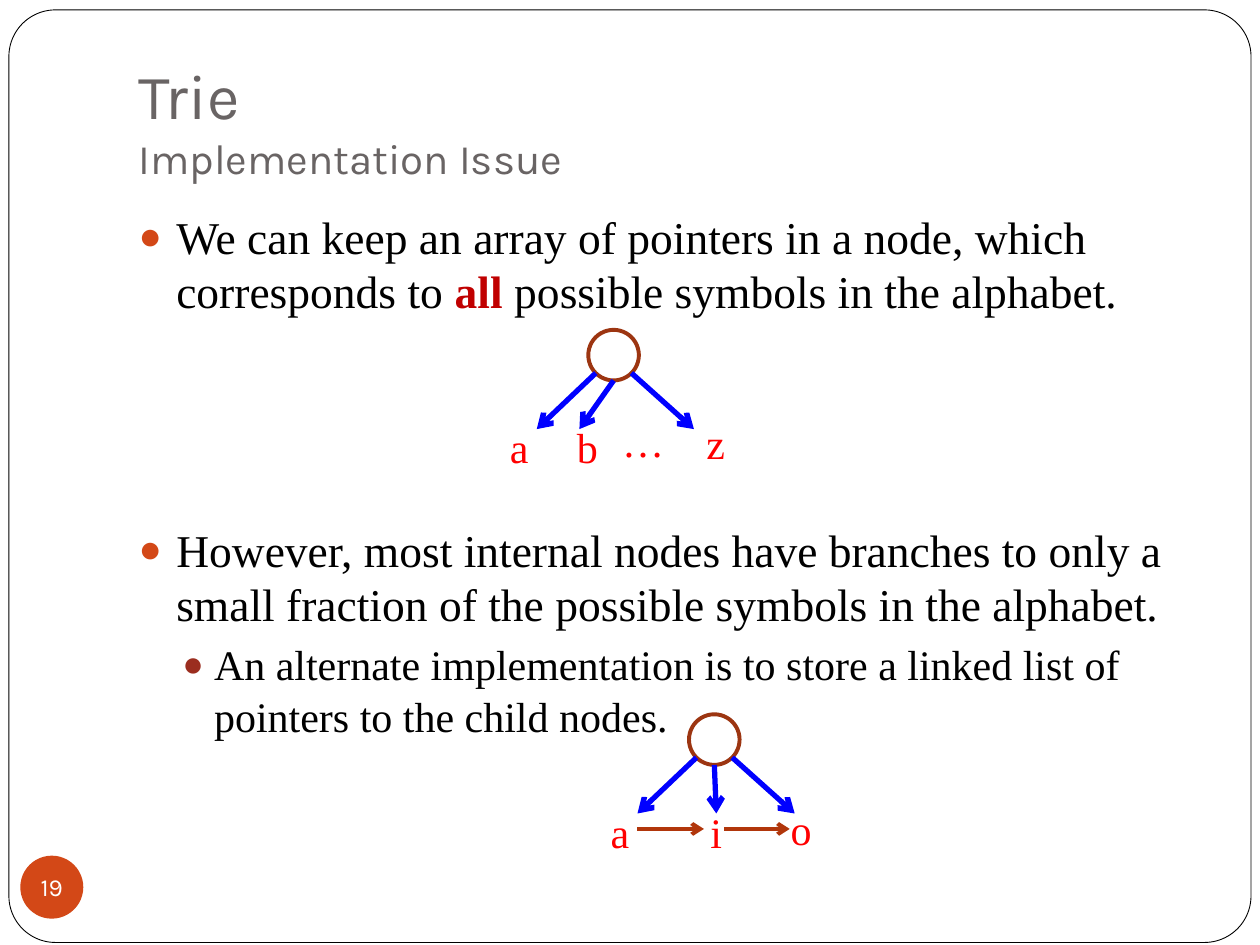
"""Build the slide on trie implementation with its two node diagrams."""
from dataclasses import dataclass

from lxml import etree
from pptx import Presentation
from pptx.dml.color import RGBColor
from pptx.enum.shapes import MSO_CONNECTOR, MSO_SHAPE
from pptx.enum.text import MSO_ANCHOR, MSO_AUTO_SIZE, PP_ALIGN
from pptx.oxml.ns import qn
from pptx.util import Cm, Pt

STRAIGHT = MSO_CONNECTOR.STRAIGHT
ELLIPSE, ROUNDED = MSO_SHAPE.OVAL, MSO_SHAPE.ROUNDED_RECTANGLE
TOP, MIDDLE, BOTTOM = MSO_ANCHOR.TOP, MSO_ANCHOR.MIDDLE, MSO_ANCHOR.BOTTOM
LEFT, CENTER = PP_ALIGN.LEFT, PP_ALIGN.CENTER
FIXED, GROW = MSO_AUTO_SIZE.NONE, MSO_AUTO_SIZE.SHAPE_TO_FIT_TEXT


@dataclass(frozen=True)
class Theme:
    heading_font: str = "Karla"
    body_font: str = "Times New Roman"
    white: str = "FFFFFF"
    black: str = "000000"
    heading: str = "696464"
    accent: str = "D34817"
    sub_accent: str = "9B2D1F"
    emphasis: str = "C00000"
    node: str = "9C3511"
    edge: str = "0000FF"
    sibling: str = "B1360B"
    label: str = "FF0000"
    title_size: int = 36
    subtitle_size: int = 24
    body_size: int = 26
    sub_size: int = 24
    label_size: int = 24
    number_size: int = 14


theme = Theme()


def add_run(paragraph, text, font, size, color, bold=False):
    run = paragraph.add_run()
    run.text = text
    for name, value in {"name": font, "size": Pt(size), "bold": bold}.items():
        setattr(run.font, name, value)
    run.font.color.rgb = RGBColor.from_string(color)


def add_arrow(group, start, end, color, width):
    arrow = group.shapes.add_connector(STRAIGHT, *map(Cm, start + end))
    arrow.line.color.rgb = RGBColor.from_string(color)
    arrow.line.width = Pt(width)
    line = arrow.element.spPr.find(qn("a:ln"))
    etree.SubElement(line, qn("a:tailEnd"), type="arrow")
    etree.SubElement(arrow.element.spPr, qn("a:effectLst"))


presentation = Presentation()
presentation.slide_width, presentation.slide_height = Cm(25.4), Cm(19.05)
slide = presentation.slides.add_slide(presentation.slide_layouts[1])
title, body = slide.placeholders

frame = slide.shapes.add_shape(ROUNDED, Cm(0.18), Cm(0.2), Cm(25.04), Cm(18.8))
frame.adjustments[0] = 0.05
frame.shadow.inherit = False
frame.fill.solid()
frame.fill.fore_color.rgb = RGBColor.from_string(theme.white)
frame.line.color.rgb = RGBColor.from_string(theme.black)
frame.line.width = Pt(0.5)
slide.shapes.element.insert(2, frame.element)

placeholder_formats = [
    (title, {"left": 2.54, "top": 0.76, "width": 21.59, "height": 3.18},
     {"vertical_anchor": BOTTOM, "margin_top": Cm(0.13), "margin_bottom": Cm(0.25)}),
    (body, {"left": 2.54, "top": 4.01, "width": 21.59, "height": 12.7},
     {"vertical_anchor": TOP, "margin_top": Cm(0.2), "margin_bottom": Cm(0.13)}),
]
for placeholder, box, frame_format in placeholder_formats:
    for name, value in box.items():
        setattr(placeholder, name, Cm(value))
    for name, value in {**frame_format, "auto_size": FIXED, "word_wrap": True}.items():
        setattr(placeholder.text_frame, name, value)

paragraph = title.text_frame.paragraphs[0]
paragraph.alignment = LEFT
add_run(paragraph, "Trie", theme.heading_font, theme.title_size, theme.heading)
paragraph.add_line_break()
add_run(paragraph, "Implementation Issue", theme.heading_font, theme.subtitle_size, theme.heading)

bullets = [
    (0, 0, 31, theme.body_size, theme.accent, 0.76, 0.76,
     [("We can keep an array of pointers in a node, which corresponds to ", False),
      ("all", True), (" possible symbols in the alphabet.", False)]),
    (0, 117, 31, theme.body_size, theme.accent, 0.76, 0.76,
     [("However, most internal nodes have branches to only a small fraction "
       "of the possible symbols in the alphabet.", False)]),
    (1, 3.7, 29.7, theme.sub_size, theme.sub_accent, 1.52, 0.64,
     [("An alternate implementation is to store a linked list of pointers "
       "to the child nodes.", False)]),
]
for index, (level, before, spacing, size, color, margin, hanging, runs) in enumerate(bullets):
    paragraph = body.text_frame.add_paragraph() if index else body.text_frame.paragraphs[0]
    properties = paragraph._p.get_or_add_pPr()
    properties.set("marL", str(Cm(margin)))
    properties.set("indent", str(-Cm(hanging)))
    bullet_color = etree.SubElement(properties, qn("a:buClr"))
    etree.SubElement(bullet_color, qn("a:srgbClr"), val=color)
    etree.SubElement(properties, qn("a:buSzPct"), val="85000")
    etree.SubElement(properties, qn("a:buChar"), char="●")
    paragraph_format = {"level": level, "space_before": Pt(before), "line_spacing": Pt(spacing)}
    for name, value in paragraph_format.items():
        setattr(paragraph, name, value)
    for text, strong in runs:
        add_run(paragraph, text, theme.body_font, size,
                theme.emphasis if strong else theme.black, strong)

badge = slide.shapes.add_shape(ELLIPSE, Cm(0.41), Cm(17.25), Cm(1.27), Cm(1.27))
badge.shadow.inherit = False
badge.fill.solid()
badge.fill.fore_color.rgb = RGBColor.from_string(theme.accent)
badge.line.fill.background()
badge_format = {"margin_left": 0, "margin_right": 0, "margin_top": 0, "margin_bottom": 0,
                "vertical_anchor": MIDDLE, "word_wrap": False}
for name, value in badge_format.items():
    setattr(badge.text_frame, name, value)
paragraph = badge.text_frame.paragraphs[0]
paragraph.alignment = CENTER
add_run(paragraph, "19", theme.heading_font, theme.number_size, theme.white)

diagrams = [
    {"origin": (11.86, 6.65), "middle_end": -0.18, "siblings": [],
     "labels": [("a", -1.83, 1.73, 0.84), ("b", -0.48, 1.73, 0.89),
                ("z", 2.13, 1.65, 0.81), ("…", 0.43, 1.6, 1.37)]},
    {"origin": (13.89, 14.4), "middle_end": 0.55, "siblings": [(-1.04, 0.3), (0.71, 2.03)],
     "labels": [("a", -1.83, 1.73, 0.81), ("i", 0.18, 1.73, 0.71),
                ("o", 1.8, 1.68, 0.91)]},
]
for diagram in diagrams:
    left, top = diagram["origin"]
    group = slide.shapes.add_group_shape()
    node = group.shapes.add_shape(ELLIPSE, Cm(left), Cm(top), Cm(1.02), Cm(1.02))
    node.shadow.inherit = False
    node.fill.solid()
    node.fill.fore_color.rgb = RGBColor.from_string(theme.white)
    node.line.color.rgb = RGBColor.from_string(theme.node)
    node.line.width = Pt(2.25)
    edges = [(0.15, 0.87, -1.04), (0.51, 1.02, diagram["middle_end"]), (0.87, 0.87, 2.13)]
    for start_x, start_y, end_x in edges:
        add_arrow(group, (left + start_x, top + start_y), (left + end_x, top + 2),
                  theme.edge, 3)
    for text, x, y, width in diagram["labels"]:
        label = group.shapes.add_textbox(Cm(left + x), Cm(top + y), Cm(width), Cm(1.27))
        label.text_frame.word_wrap = False
        label.text_frame.auto_size = GROW
        add_run(label.text_frame.paragraphs[0], text, theme.body_font,
                theme.label_size, theme.label)
    for start_x, end_x in diagram["siblings"]:
        add_arrow(group, (left + start_x, top + 2.31), (left + end_x, top + 2.31),
                  theme.sibling, 2.25)

presentation.save("out.pptx")
